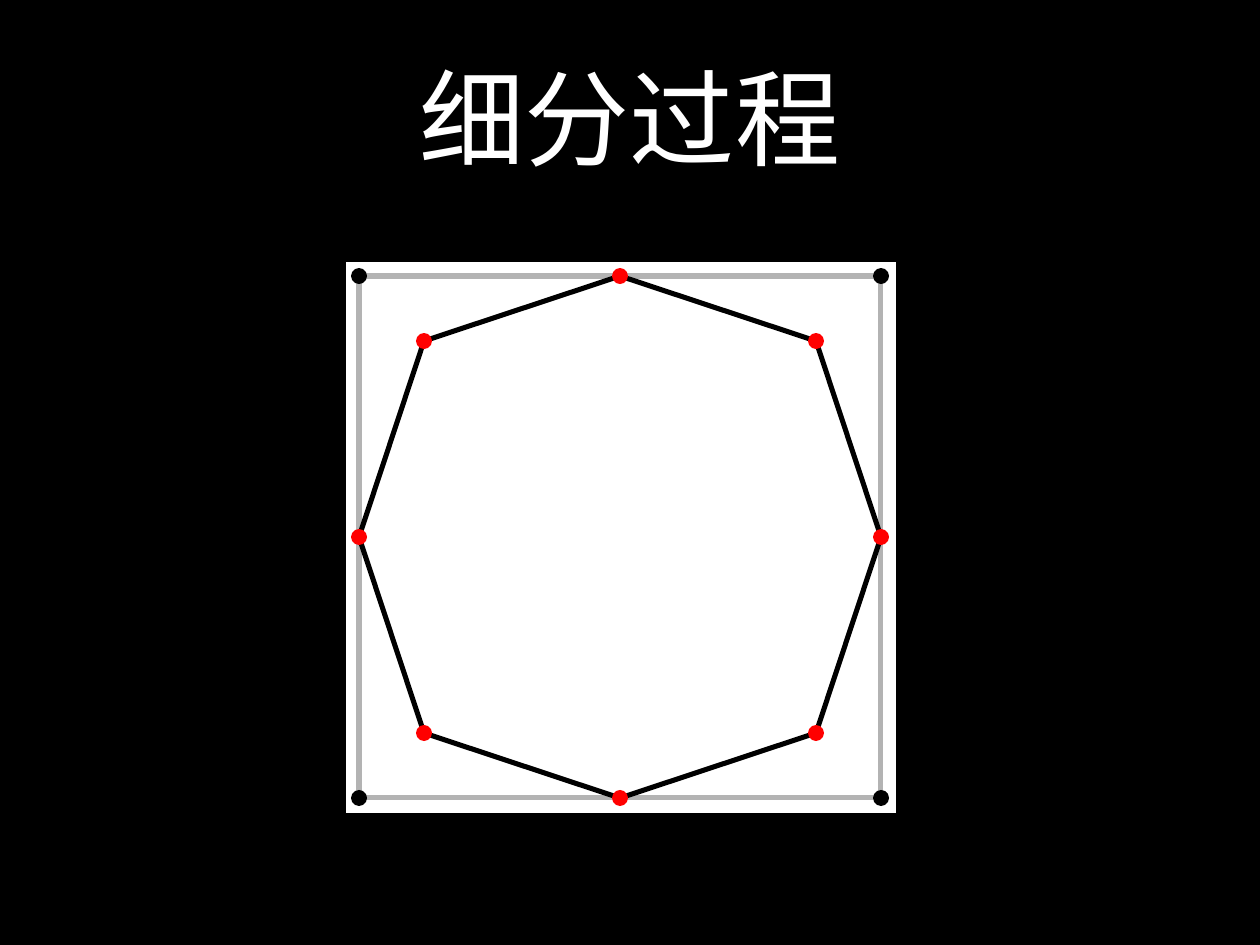
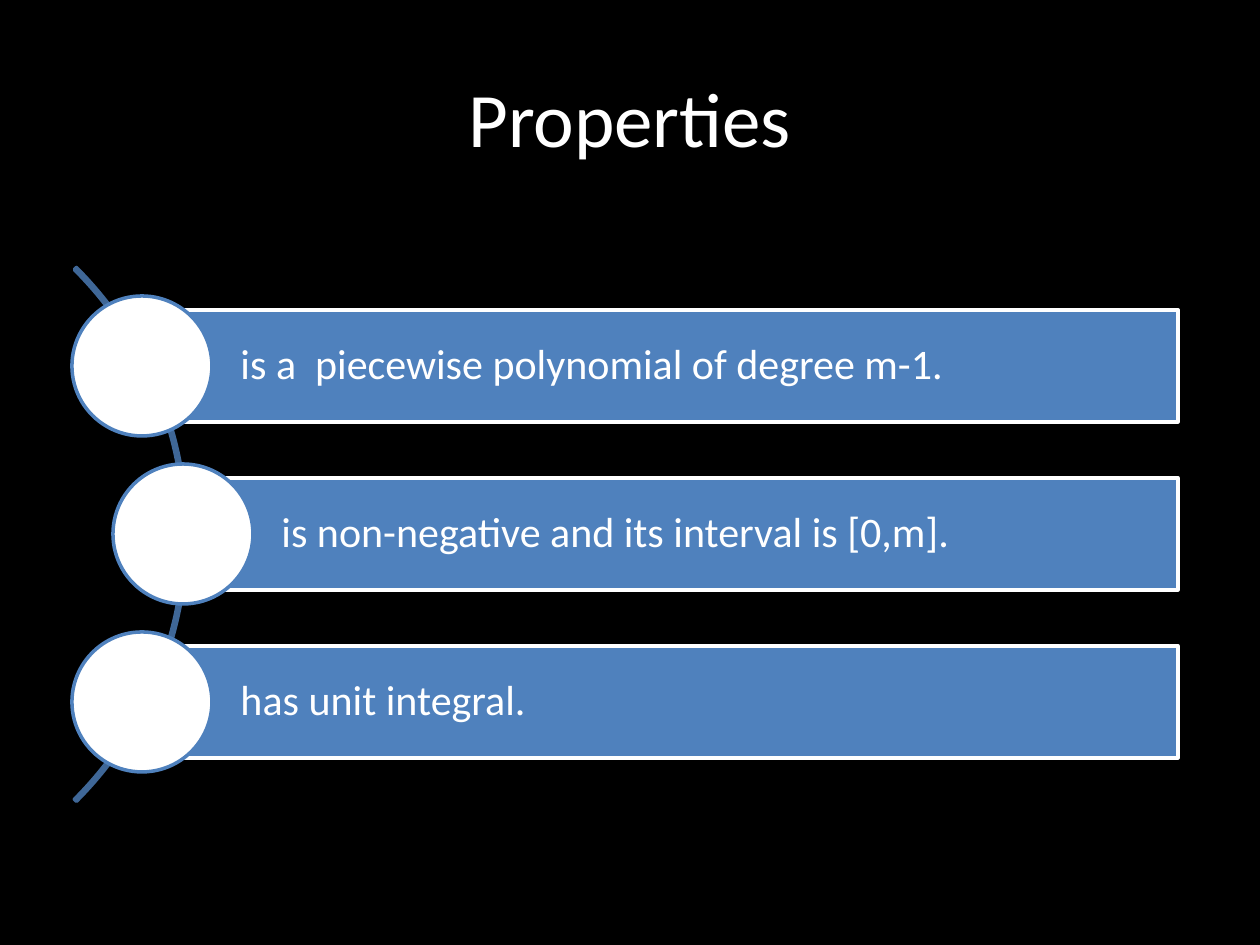
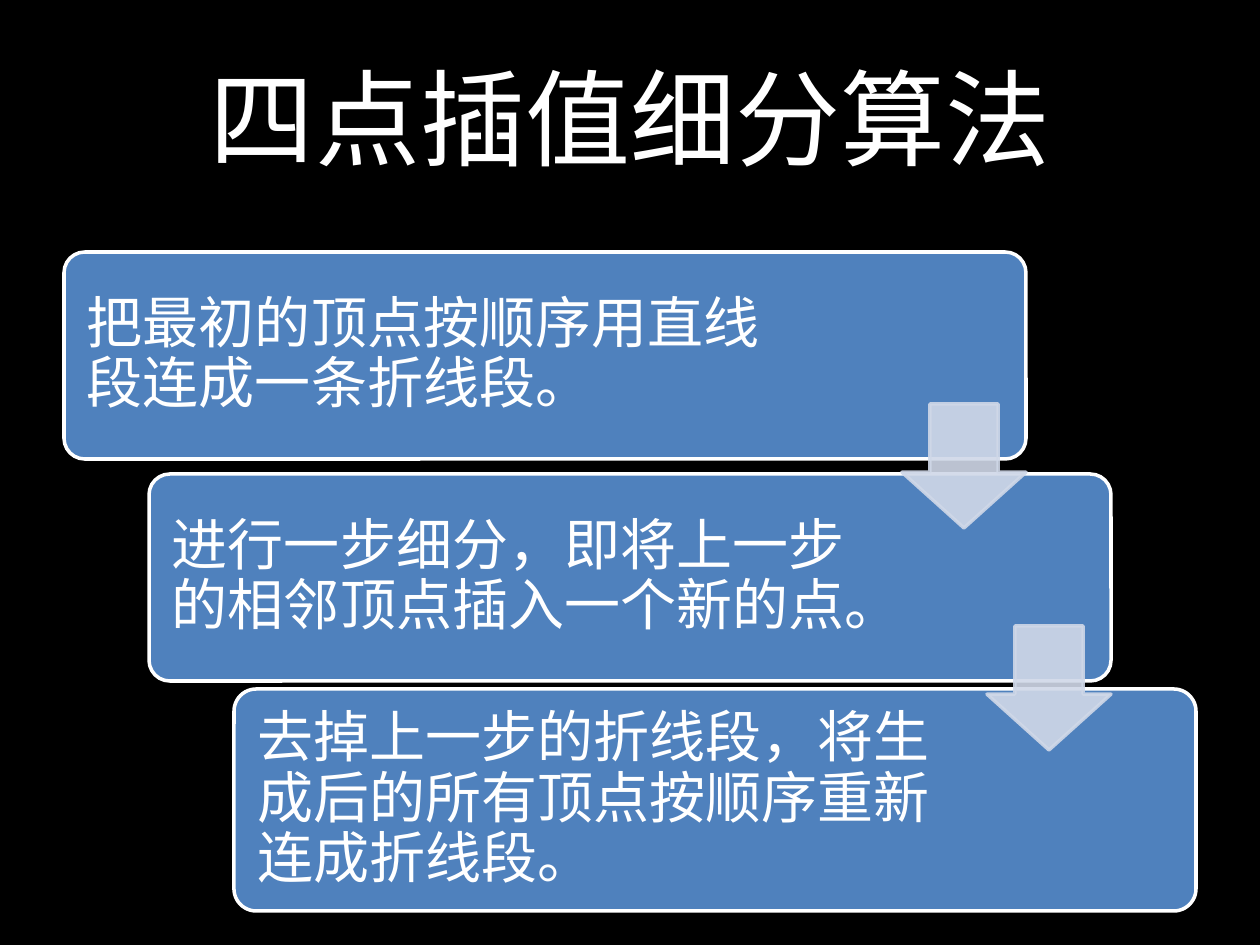
from lxml.etree import SubElement
from pptx import Presentation
from pptx.dml.color import RGBColor
from pptx.enum.shapes import MSO_SHAPE
from pptx.enum.text import MSO_ANCHOR, PP_ALIGN
from pptx.oxml.ns import qn
from pptx.util import Pt

BLACK = RGBColor(0, 0, 0)
WHITE = RGBColor(255, 255, 255)
RED = RGBColor(255, 0, 0)
GRAY = RGBColor(0xB3, 0xB3, 0xB3)
BLUE = RGBColor(0x4F, 0x81, 0xBD)
NAVY = RGBColor(0x3F, 0x67, 0x97)
PALE = RGBColor(0xD0, 0xD8, 0xE8)
LATIN = "Calibri"
HAN = "Noto Sans CJK SC"
SCALE = 914400 / 126

TITLES = [("细分过程", 60, HAN), ("Properties", 44, LATIN), ("四点插值细分算法", 60, HAN)]

CENTER = (620, 537)
HALF, INNER, DOT = 261, 196, 16
CORNERS = [(x, y) for x in (-HALF, HALF) for y in (-HALF, HALF)]
RING = [(-INNER, INNER), (0, HALF), (INNER, INNER), (HALF, 0),
        (INNER, -INNER), (0, -HALF), (-INNER, -INNER), (-HALF, 0)]

FACTS = [
    (142, " is a  piecewise polynomial of degree m-1."),
    (183, " is non-negative and its interval is [0,m]."),
    (142, " has unit integral."),
]
STEPS = [
    (252, 207, 755, "把最初的顶点按顺序用直线段连成一条折线段。"),
    (474, 207, 741, "进行一步细分，即将上一步的相邻顶点插入一个新的点。"),
    (689, 222, 740, "去掉上一步的折线段，将生成后的所有顶点按顺序重新连成折线段。"),
]
ARROWS = [(902, 404), (987, 626)]


def emu(*sizes):
    return [round(size * SCALE) for size in sizes]


def paint(shape, fill=None, line=None, width=2):
    shape.shadow.inherit = False
    if fill is None:
        shape.fill.background()
    else:
        shape.fill.solid()
        shape.fill.fore_color.rgb = fill
    if line is None:
        shape.line.fill.background()
    else:
        shape.line.color.rgb = line
        shape.line.width = Pt(width)
    return shape


def draw(slide, kind, box, fill=None, line=None, width=2, adjust=()):
    shape = slide.shapes.add_shape(kind, *emu(*box))
    for i, value in enumerate(adjust):
        shape.adjustments[i] = value
    return paint(shape, fill, line, width)


def disc(slide, x, y, size, fill, line=None):
    draw(slide, MSO_SHAPE.OVAL, (x - size / 2, y - size / 2, size, size), fill, line)


def write(shape, text, size, font, insets, align=PP_ALIGN.LEFT, space=0.9):
    frame = shape.text_frame
    frame.word_wrap = True
    frame.vertical_anchor = MSO_ANCHOR.MIDDLE
    (frame.margin_left, frame.margin_top,
     frame.margin_right, frame.margin_bottom) = emu(*insets)
    para = frame.paragraphs[0]
    para.alignment = align
    para.line_spacing = space
    run = para.add_run()
    run.text = text
    run.font.size = Pt(size)
    run.font.name = font
    run.font.color.rgb = WHITE
    SubElement(run.font._element, qn("a:ea"), typeface=font)


def label(slide, box, *args, **style):
    write(slide.shapes.add_textbox(*emu(*box)), *args, **style)


def fade(shape, percent):
    for color in shape._element.spPr.iter(qn("a:srgbClr")):
        SubElement(color, qn("a:alpha"), val=str(percent * 1000))


def polygon(slide):
    cx, cy = CENTER
    draw(slide, MSO_SHAPE.RECTANGLE, (346, 262, 550, 551), WHITE)
    draw(slide, MSO_SHAPE.RECTANGLE, (cx - HALF, cy - HALF, 2 * HALF, 2 * HALF),
         line=GRAY, width=2.88)
    points = [(cx + x, cy + y) for x, y in RING]
    path = slide.shapes.build_freeform(*points[0], scale=SCALE)
    path.add_line_segments(points[1:], close=True)
    paint(path.convert_to_shape(), line=BLACK, width=2.88)
    for spots, color in ((CORNERS, BLACK), (RING, RED)):
        for x, y in spots:
            disc(slide, cx + x, cy + y, DOT, color)


def facts(slide):
    draw(slide, MSO_SHAPE.BLOCK_ARC, (-568, 157, 755, 755), line=NAVY,
         adjust=(189, 27, 0.004))
    for i, (x, text) in enumerate(FACTS):
        y = 366 + 168 * i
        bar = draw(slide, MSO_SHAPE.RECTANGLE, (x, y - 56, 1178 - x, 112), BLUE, WHITE)
        write(bar, text, 24, LATIN, (89, 9, 9, 9))
        disc(slide, x, y, 140, WHITE, BLUE)


def steps(slide):
    for i, (y, high, wide, text) in enumerate(STEPS):
        x = 64 + 85 * i
        draw(slide, MSO_SHAPE.ROUNDED_RECTANGLE, (x, y, 962, high), BLUE, WHITE,
             adjust=(0.1,))
        label(slide, (x + 6, y + 6, wide, high - 12), text, 32, HAN, (17, 17, 17, 17))
    for x, y in ARROWS:
        arrow = draw(slide, MSO_SHAPE.DOWN_ARROW, (x, y, 124, 124), PALE, PALE,
                     adjust=(0.55, 0.45))
        fade(arrow, 90)


def main():
    deck = Presentation()
    deck.slide_width, deck.slide_height = emu(1260, 945)
    back = deck.slide_master.background.fill
    back.solid()
    back.fore_color.rgb = BLACK
    for (text, size, font), body in zip(TITLES, (polygon, facts, steps)):
        slide = deck.slides.add_slide(deck.slide_layouts[6])
        label(slide, (63, 38, 1134, 157), text, size, font, (13, 6, 13, 6),
              align=PP_ALIGN.CENTER, space=1.0)
        body(slide)
    deck.save("out.pptx")


if __name__ == "__main__":
    main()
